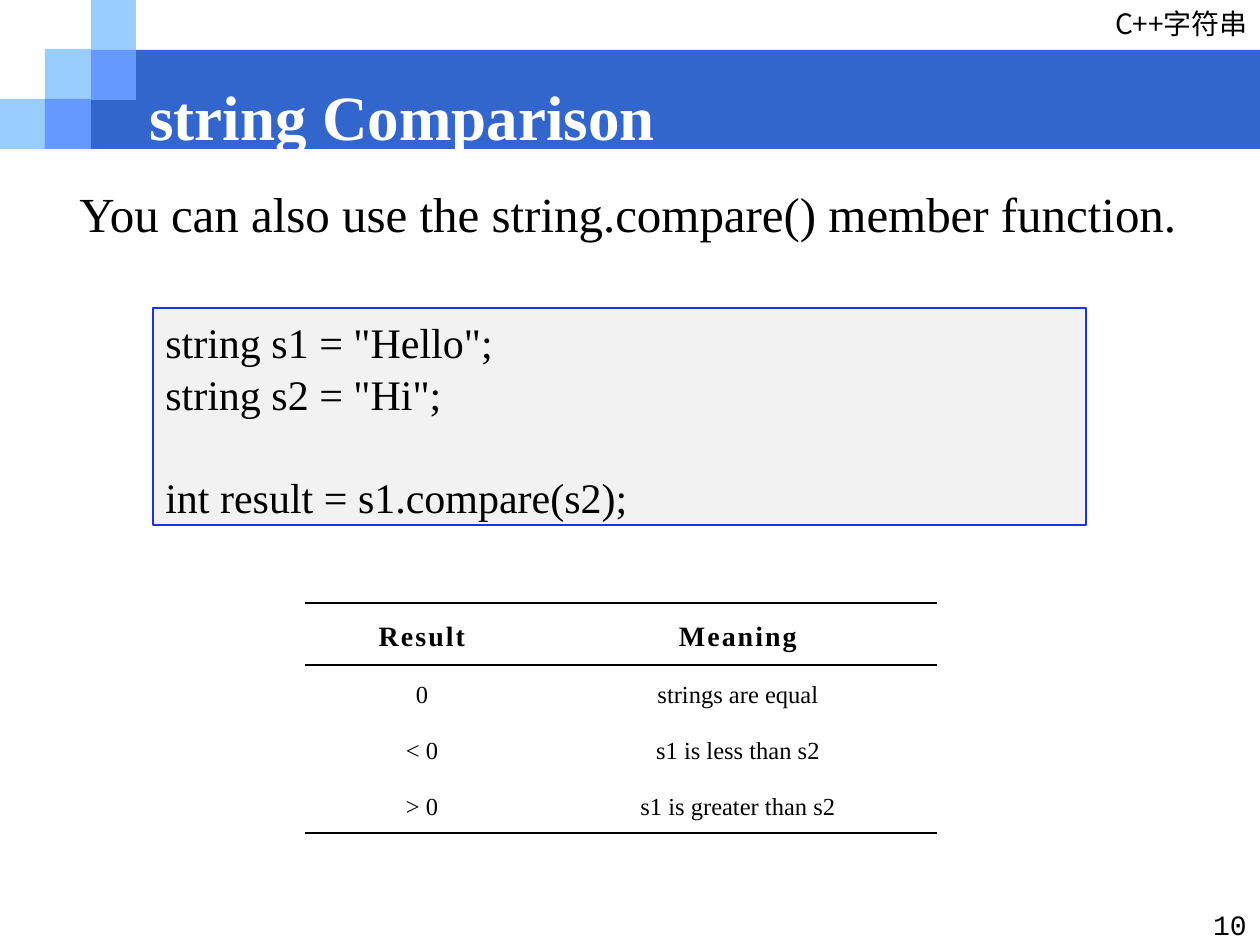
from lxml import etree
from pptx import Presentation
from pptx.dml.color import RGBColor
from pptx.enum.shapes import MSO_SHAPE
from pptx.enum.text import MSO_ANCHOR, PP_ALIGN
from pptx.oxml import parse_xml
from pptx.oxml.ns import nsdecls, qn
from pptx.util import Pt

RECTANGLE = MSO_SHAPE.RECTANGLE
TOP, MIDDLE = MSO_ANCHOR.TOP, MSO_ANCHOR.MIDDLE
LEFT, CENTER, RIGHT = PP_ALIGN.LEFT, PP_ALIGN.CENTER, PP_ALIGN.RIGHT
BLACK = RGBColor(0x00, 0x00, 0x00)
WHITE = RGBColor(0xFF, 0xFF, 0xFF)
BANNER_BLUE = RGBColor(0x33, 0x66, 0xCC)
SKY = RGBColor(0x99, 0xCC, 0xFF)
PERIWINKLE = RGBColor(0x66, 0x99, 0xFF)
CODE_GREY = RGBColor(0xF2, 0xF2, 0xF2)
CODE_BORDER = RGBColor(0x1B, 0x33, 0xE7)
SERIF, MONO, CHINESE = "Times New Roman", "Courier New", "Noto Sans CJK SC"


def px(*lengths):
    return [round(length * 914400 / 126) for length in lengths]


def write(para, text, align, **font_format):
    para.alignment = align
    span = para.add_run()
    span.text = text
    color = font_format.pop("color", BLACK)
    for name, value in font_format.items():
        setattr(span.font, name, value)
    span.font.color.rgb = color
    return span


deck = Presentation()
deck.slide_width, deck.slide_height = px(1260, 945)
page = deck.slides.add_slide(deck.slide_layouts[6])

bands = [
    (91, 50, 1169, 99, BANNER_BLUE),
    (0, 99, 46, 50, SKY),
    (45, 49, 46, 50, SKY),
    (91, 0, 45, 50, SKY),
    (91, 50, 45, 50, PERIWINKLE),
    (45, 99, 46, 50, PERIWINKLE),
]
for *place, color in bands:
    band = page.shapes.add_shape(RECTANGLE, *px(*place))
    band.shadow.inherit = False
    band.fill.solid()
    band.fill.fore_color.rgb = color
    band.line.fill.background()

labels = [
    ((1089, 0, 171, 47), "C++字符串", RIGHT, TOP, False,
     {"size": Pt(16), "name": CHINESE}),
    ((1189, 901, 70, 44), "10", RIGHT, TOP, True,
     {"size": Pt(16), "name": MONO}),
    ((67, 177, 1155, 87), "You can also use the string.compare() member function.",
     LEFT, TOP, True, {"size": Pt(28), "name": SERIF}),
    ((137, 82, 1018, 67), "string Comparison", LEFT, MIDDLE, True,
     {"size": Pt(36), "name": SERIF, "bold": True, "color": WHITE}),
]
for place, text, align, anchor, wrap, font_format in labels:
    box = page.shapes.add_textbox(*px(*place))
    frame = box.text_frame
    frame.word_wrap = wrap
    frame.vertical_anchor = anchor
    span = write(frame.paragraphs[0], text, align, **font_format)
    if font_format["name"] == CHINESE:
        east_asian = etree.SubElement(span.font._element, qn("a:ea"))
        east_asian.set("typeface", CHINESE)

code_box = page.shapes.add_shape(RECTANGLE, *px(153, 308, 933, 217))
code_box.shadow.inherit = False
code_box.fill.solid()
code_box.fill.fore_color.rgb = CODE_GREY
code_box.line.color.rgb = CODE_BORDER
code_box.line.width = Pt(0.75)
frame = code_box.text_frame
frame.word_wrap = True
frame.vertical_anchor = TOP
code_lines = [
    ('string s1 = "Hello";', 0),
    ('string s2 = "Hi";', 0),
    ("int result = s1.compare(s2);", 29),
]
for index, (text, gap) in enumerate(code_lines):
    para = frame.add_paragraph() if index else frame.paragraphs[0]
    para.line_spacing = 1.04
    para.space_before = Pt(gap)
    write(para, text, LEFT, size=Pt(24), name=SERIF)

rows = [
    ("Result", "Meaning"),
    ("0", "strings are equal"),
    ("< 0", "s1 is less than s2"),
    ("> 0", "s1 is greater than s2"),
]
column_widths = px(234, 398)
row_heights = px(62, 56, 56, 56)
rule_widths = [1.5, 0.75, 0, 0, 1.5]
table = page.shapes.add_table(4, 2, *px(305, 603, 632, 230)).table
table.first_row = False
table.horz_banding = False
for column, width in zip(table.columns, column_widths):
    column.width = width
for row, height in zip(table.rows, row_heights):
    row.height = height

for row_index, row in enumerate(rows):
    header = row_index == 0
    for column_index, text in enumerate(row):
        cell = table.cell(row_index, column_index)
        cell.vertical_anchor = MIDDLE
        cell.margin_left, cell.margin_right = px(35, 35)
        cell.margin_top, cell.margin_bottom = px(10, 10)
        para = cell.text_frame.paragraphs[0]
        para.line_spacing = 1.2
        span = write(para, text, CENTER, size=Pt(16 if header else 14),
                     name=SERIF, bold=header)
        if header:
            span.font._element.set("spc", "120")
        edges = {"L": 0, "R": 0, "T": rule_widths[row_index],
                 "B": rule_widths[row_index + 1]}
        properties = cell._tc.get_or_add_tcPr()
        for side, width in edges.items():
            paint = (f'<a:solidFill><a:srgbClr val="{BLACK}"/></a:solidFill>'
                     if width else "<a:noFill/>")
            properties.append(parse_xml(
                f'<a:ln{side} {nsdecls("a")} w="{Pt(width)}">{paint}</a:ln{side}>'))
        cell.fill.background()

deck.save("out.pptx")
